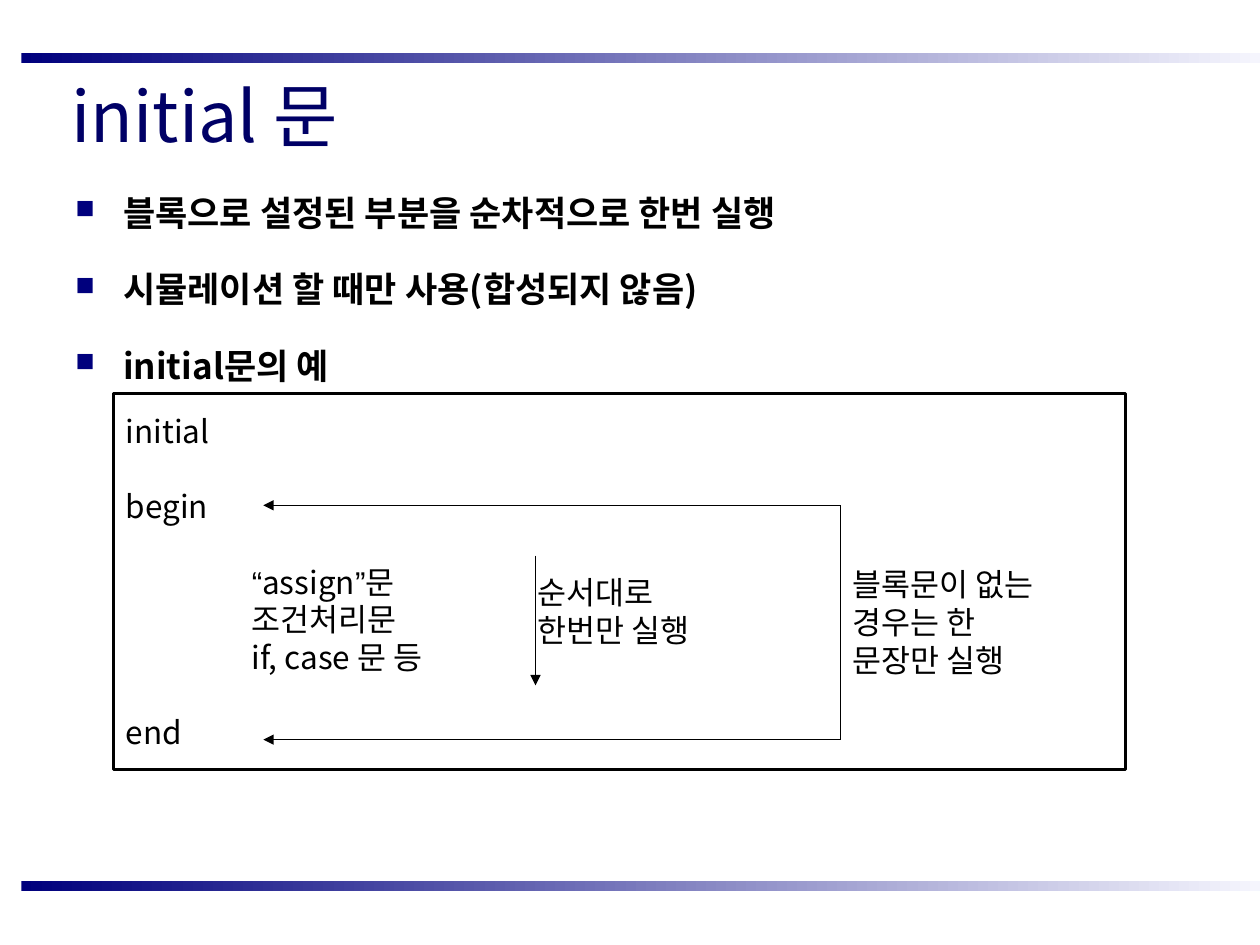
"""Build the slide on the Verilog initial statement."""
from itertools import groupby
from lxml import etree
from pptx import Presentation, util as u
from pptx.dml.color import RGBColor
from pptx.enum import shapes, text
from pptx.oxml import parse_xml
from pptx.oxml.ns import nsdecls, qn

ink = RGBColor.from_string
FACE = "Noto Sans CJK KR"
BLACK, NAVY = "000000", "00007D"

deck = Presentation()
deck.slide_width, deck.slide_height = u.Inches(10), u.Inches(7.5)
col, row = deck.slide_width / 100, deck.slide_height / 100
page = deck.slides.add_slide(deck.slide_layouts[6]).shapes


def place(x, y, a, b):
    return [u.Emu(round(n)) for n in (x * col, y * row, a * col, b * row)]


def write(frame, lines, size=18, color=BLACK, bold=False, lead=None,
          anchor=text.MSO_ANCHOR.TOP, mark=None):
    frame.word_wrap = True
    frame.vertical_anchor = anchor
    for i, (line, gap, left) in enumerate(lines):
        para = frame.paragraphs[0] if i == 0 else frame.add_paragraph()
        para.alignment = text.PP_ALIGN.LEFT
        props = para._p.get_or_add_pPr()
        props.set("marL", str(u.Inches(left)))
        if mark:
            props.set("indent", str(-u.Inches(left)))
            for part in (f'<a:buClr {nsdecls("a")}><a:srgbClr val="{NAVY}"/></a:buClr>',
                         f'<a:buSzPct {nsdecls("a")} val="75000"/>',
                         f'<a:buChar {nsdecls("a")} char="{mark}"/>'):
                props.append(parse_xml(part))
        para.space_before = u.Pt(gap)
        if lead:
            para.line_spacing = u.Pt(lead)
        for quote, chars in groupby(line, lambda c: c in "“”"):
            run = para.add_run()
            run.text = "".join(chars)
            font = run.font
            font.size, font.bold = u.Pt(size), bold
            font.color.rgb = ink(color)
            font.name = "Arial" if quote else FACE
            etree.SubElement(run._r.rPr, qn("a:ea"), typeface=font.name)


for top in (5.6, 93.2):
    bar = page.add_shape(shapes.MSO_SHAPE.RECTANGLE, *place(1.7, top, 98.3, 1.07))
    bar.shadow.inherit = False
    bar.line.fill.background()
    bar.fill.gradient()
    bar.fill.gradient_angle = 0
    for stop, tone in zip(bar.fill.gradient_stops, (NAVY, "F5F5FD")):
        stop.color.rgb = ink(tone)

title = page.add_textbox(*place(4.7, 6.4, 91.9, 11.47))
write(title.text_frame, [("initial 문", 0, 0)], size=40, color="000066",
      anchor=text.MSO_ANCHOR.MIDDLE)

body = page.add_textbox(*place(5, 19.6, 90, 71.87))
points = ["블록으로 설정된 부분을 순차적으로 한번 실행",
          "시뮬레이션 할 때만 사용(합성되지 않음)",
          "initial문의 예"]
write(body.text_frame, [(point, 19.6 if i else 0, 0.38) for i, point in enumerate(points)],
      size=20, bold=True, lead=24, mark="■")

for ends, tip in (((66.7, 53.47, 66.7, 78.27), False),
                  ((66.7, 53.47, 20.9, 53.47), True),
                  ((66.7, 78.27, 20.9, 78.27), True),
                  ((42.5, 58.8, 42.5, 72.53), True)):
    line = page.add_connector(shapes.MSO_CONNECTOR.STRAIGHT, *place(*ends))
    line.line.color.rgb = ink(BLACK)
    line.line.width = u.Pt(0.75)
    if tip:
        etree.SubElement(line.line._get_or_add_ln(), qn("a:tailEnd"), type="triangle")
    etree.SubElement(line._element.spPr, qn("a:effectLst"))

PITCH = 21.5
for spot, note in (((41.7, 60, 15.8, 9.33), "순서대로 한번만 실행"),
                   ((66.7, 59.2, 18.3, 13.33), "블록문이 없는 경우는 한 문장만 실행")):
    write(page.add_textbox(*place(*spot)).text_frame, [(note, 0, 0)], lead=PITCH)

code = page.add_shape(shapes.MSO_SHAPE.RECTANGLE, *place(9, 41.6, 80.3, 39.87))
code.shadow.inherit = False
code.fill.background()
code.line.color.rgb = ink(BLACK)
code.line.width = u.Pt(1.75)
write(code.text_frame,
      [("initial", 0, 0), ("begin", PITCH, 0), ("“assign”문", PITCH, 1),
       ("조건처리문", 0, 1), ("if, case 문 등", 0, 1), ("end", PITCH, 0)],
      lead=PITCH, anchor=text.MSO_ANCHOR.MIDDLE)

deck.save("out.pptx")
